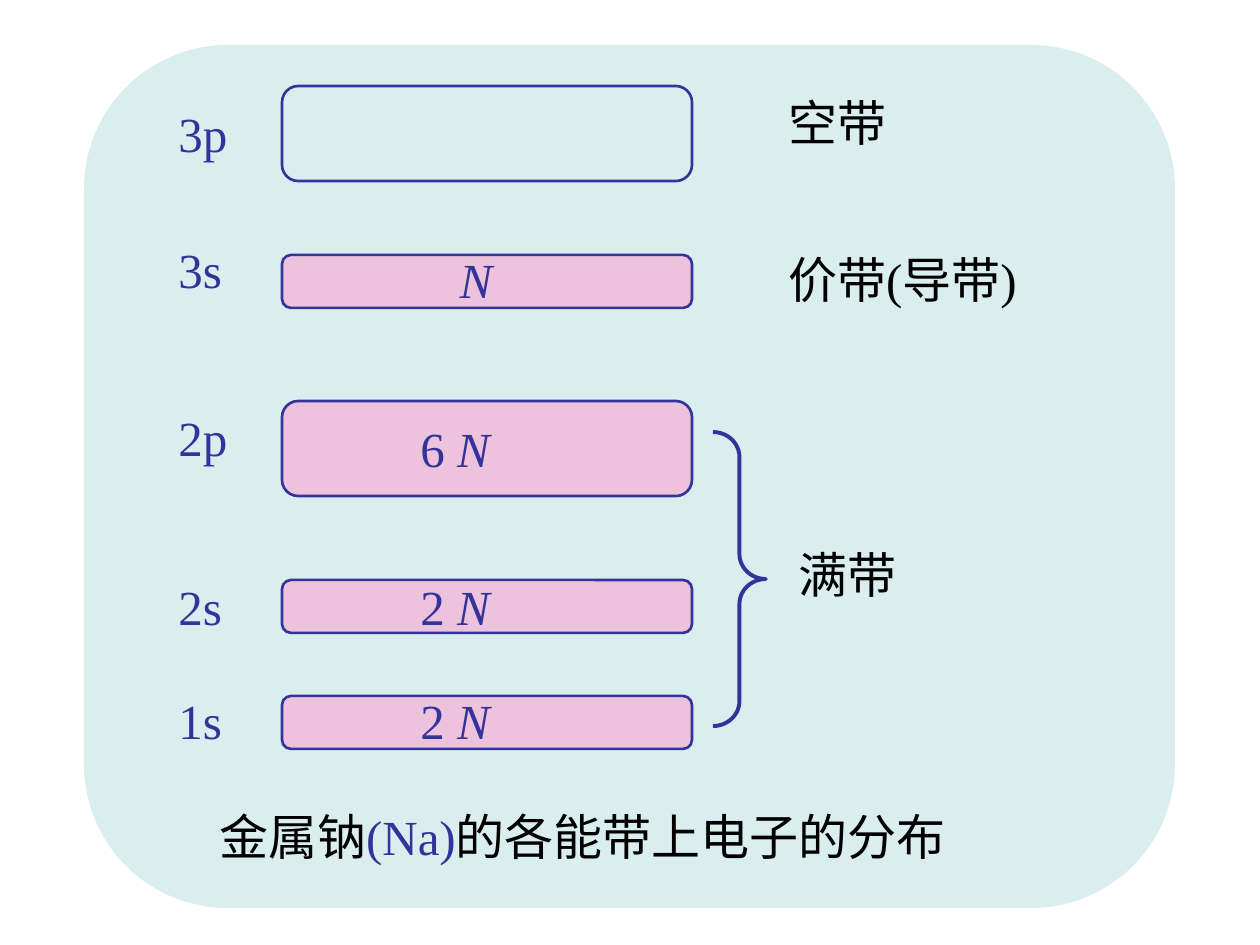
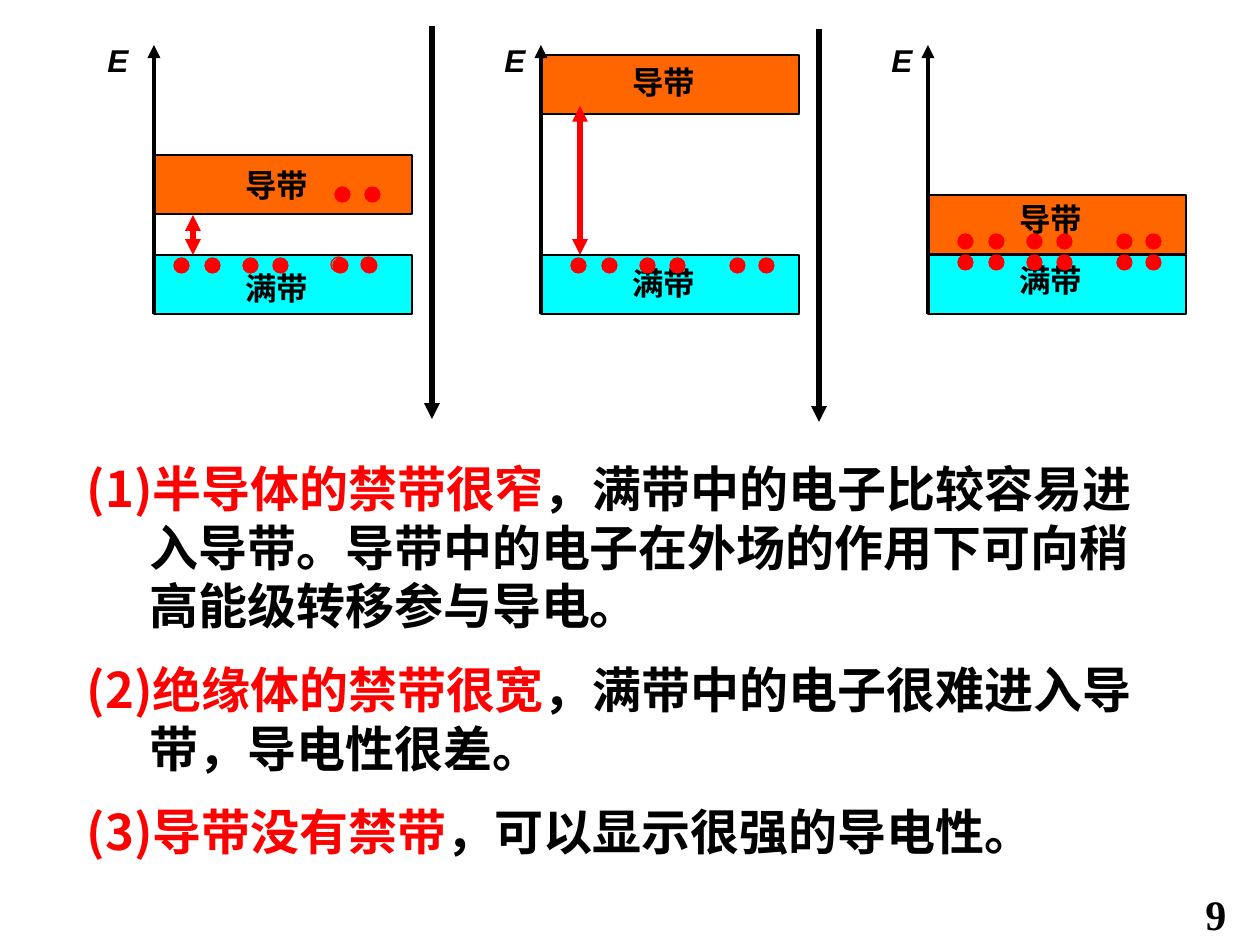
"""Build two slides on energy bands: sodium's electrons and the three kinds of solid."""
from lxml.etree import SubElement
from pptx import Presentation
from pptx.dml.color import RGBColor
from pptx.enum.shapes import MSO_CONNECTOR, MSO_SHAPE
from pptx.enum.text import MSO_ANCHOR, MSO_AUTO_SIZE, PP_ALIGN
from pptx.oxml.ns import qn
from pptx.util import Emu, Pt

COLORS = {
    "black": "000000", "red": "FF0000", "indigo": "333399", "mist": "DAEDEF",
    "pink": "FF99CC", "cyan": "00FFFF", "orange": "FF6600",
}
SERIF, SANS = "Times New Roman", "Arial"
WIDTH, HEIGHT = 1260, 945


def px(length):
    return Emu(round(length * 914400 / 126))


def color(name):
    return RGBColor.from_string(COLORS[name])


class Board:
    def __init__(self):
        self.deck = Presentation()
        self.deck.slide_width, self.deck.slide_height = px(WIDTH), px(HEIGHT)
        self.slide = None

    def new_slide(self, layout):
        self.slide = self.deck.slides.add_slide(self.deck.slide_layouts[layout])

    def shape(self, kind, box, fill=None, line=None, weight=0.75, adjust=(), alpha=None):
        shape = self.slide.shapes.add_shape(kind, *map(px, box))
        shape.shadow.inherit = False
        for index, value in enumerate(adjust):
            shape.adjustments[index] = value
        if fill:
            shape.fill.solid()
            shape.fill.fore_color.rgb = color(fill)
        else:
            shape.fill.background()
        if alpha:
            tint = shape._element.spPr.find(qn("a:solidFill"))[0]
            SubElement(tint, qn("a:alpha"), val=str(alpha * 1000))
        if line:
            shape.line.color.rgb = color(line)
            shape.line.width = Pt(weight)
        else:
            shape.line.fill.background()

    def arrow(self, start, end, ink="black", weight=3.0, both=False):
        arrow = self.slide.shapes.add_connector(
            MSO_CONNECTOR.STRAIGHT, *map(px, start + end))
        arrow.line.color.rgb = color(ink)
        arrow.line.width = Pt(weight)
        outline = arrow._element.spPr.find(qn("a:ln"))
        for tip in ("a:headEnd", "a:tailEnd") if both else ("a:tailEnd",):
            SubElement(outline, qn(tip), type="triangle")
        SubElement(arrow._element.spPr, qn("a:effectLst"))

    def typeset(self, paragraph, parts, size, font, ink="black", bold=False, italic=False):
        style = paragraph.font
        style.size, style.name = Pt(size), font
        style.bold, style.italic = bold, italic
        style.color.rgb = color(ink)
        for text, changes in parts:
            run = paragraph.add_run()
            run.text = text
            if "italic" in changes:
                run.font.italic = changes["italic"]
            if "ink" in changes:
                run.font.color.rgb = color(changes["ink"])

    def text(self, box, parts, size=28, font=SERIF, align=PP_ALIGN.LEFT, **style):
        frame = self.slide.shapes.add_textbox(*map(px, box)).text_frame
        frame.word_wrap = True
        paragraph = frame.paragraphs[0]
        paragraph.alignment = align
        if isinstance(parts, str):
            parts = [(parts, {})]
        self.typeset(paragraph, parts, size, font, **style)

    def numbered_list(self, box, items):
        title = self.slide.shapes.title.element
        title.getparent().remove(title)
        body = self.slide.placeholders[1]
        body.left, body.top, body.width, body.height = map(px, box)
        frame = body.text_frame
        frame.auto_size = MSO_AUTO_SIZE.NONE
        frame.vertical_anchor = MSO_ANCHOR.TOP
        for index, (lead, rest) in enumerate(items):
            paragraph = frame.add_paragraph() if index else frame.paragraphs[0]
            paragraph.space_before = Pt(14 if index else 0)
            props = paragraph._p.get_or_add_pPr()
            props.set("marL", str(px(63)))
            props.set("indent", str(-px(63)))
            tint = SubElement(props, qn("a:buClr"))
            SubElement(tint, qn("a:srgbClr"), val=COLORS["red"])
            SubElement(props, qn("a:buFont"), typeface=SANS)
            SubElement(props, qn("a:buAutoNum"), type="arabicParenBoth")
            self.typeset(paragraph, [(lead, {"ink": "red"}), (rest, {})],
                         28, SANS, bold=True)


def sodium_bands(board):
    board.new_slide(6)
    board.shape(MSO_SHAPE.ROUNDED_RECTANGLE, (84, 45, 1091, 863), "mist")
    board.text((207, 800, 809, 72), [
        ("金属钠", {}), ("(Na)", {"ink": "indigo"}), ("的各能带上电子的分布", {})])

    slanted = {"italic": True}
    orbitals = [
        ("3p", 97, 86, 95, None, None),
        ("3s", 233, 255, 53, 243, [("N", slanted)]),
        ("2p", 401, 401, 95, 412, [("6", {}), (" N", slanted)]),
        ("2s", 570, 580, 53, 570, [("2 ", {}), ("N", slanted)]),
        ("1s", 684, 696, 53, 684, [("2 ", {}), ("N", slanted)]),
    ]
    for orbital, name_top, band_top, band_height, count_top, electrons in orbitals:
        board.shape(MSO_SHAPE.ROUNDED_RECTANGLE, (282, band_top, 410, band_height),
                    "pink" if electrons else None, "indigo", 1.5, (0.17,),
                    50 if electrons else None)
        board.text((166, name_top, 116, 72), orbital, ink="indigo")
        if electrons:
            alone = len(electrons) == 1
            board.text((418 if alone else 408, count_top, 116, 72), electrons,
                       align=PP_ALIGN.CENTER if alone else PP_ALIGN.LEFT, ink="indigo")

    for band, left, top, width in [("空带", 776, 86, 126), ("价带(导带)", 776, 243, 325),
                                   ("满带", 786, 538, 126)]:
        board.text((left, top, width, 72), band)
    board.shape(MSO_SHAPE.RIGHT_BRACE, (713, 432, 53, 294), None, "indigo", 2.25,
                (0.47, 0.5))


def solids_compared(board):
    board.new_slide(1)
    first_axis, pitch = 154, 387
    band_width, band_height, full_top = 258, 59, 255
    full_bottom = full_top + band_height
    electron_steps = (0, 31, 69, 99, 159, 188)

    def electrons(start, top, steps=electron_steps, fill="red"):
        for step in steps:
            board.shape(MSO_SHAPE.OVAL, (start + step, top, 15, 15), fill, "red")

    solids = [
        (155, 160, 263, 59, (215, 255), 20, (258,)),
        (55, 57, 258, 49, (106, 255), 30, (258,)),
        (195, 194, 255, 49, None, 30, (255, 234)),
    ]
    for index, solid in enumerate(solids):
        empty_top, empty_name, full_name, energy_gap, forbidden, start, rows = solid
        axis = first_axis + index * pitch
        for name, top, name_top, fill in [("满带", full_top, full_name, "cyan"),
                                          ("导带", empty_top, empty_name, "orange")]:
            board.shape(MSO_SHAPE.RECTANGLE, (axis, top, band_width, band_height),
                        fill, "black")
            board.text((axis + 79, name_top, 99, 50), name, 18, SANS, bold=True)
        board.arrow((axis, full_bottom), (axis, 45), weight=2.5)
        board.text((axis - energy_gap, 35, 49, 50), "E", 18, SANS, bold=True, italic=True)
        if forbidden:
            board.arrow((axis + 39, forbidden[0]), (axis + 39, forbidden[1]), "red",
                        both=True)
        for row in rows:
            electrons(axis + start, row)

    electrons(first_axis + 181, 187, (0, 30))
    electrons(first_axis + 177, 257, (0, 30), None)
    for divider, top in [(432, 26), (819, 29)]:
        board.arrow((divider, top), (divider, top + 393))

    board.numbered_list((74, 452, 1111, 425), [
        ("半导体的禁带很窄", "，满带中的电子比较容易进入导带。"
         "导带中的电子在外场的作用下可向稍高能级转移参与导电。"),
        ("绝缘体的禁带很宽", "，满带中的电子很难进入导带，导电性很差。"),
        ("导带没有禁带", "，可以显示很强的导电性。"),
    ])
    board.text((1193, 882, 47, 63), "9", 24, bold=True)


def main():
    board = Board()
    sodium_bands(board)
    solids_compared(board)
    board.deck.save("out.pptx")


if __name__ == "__main__":
    main()
